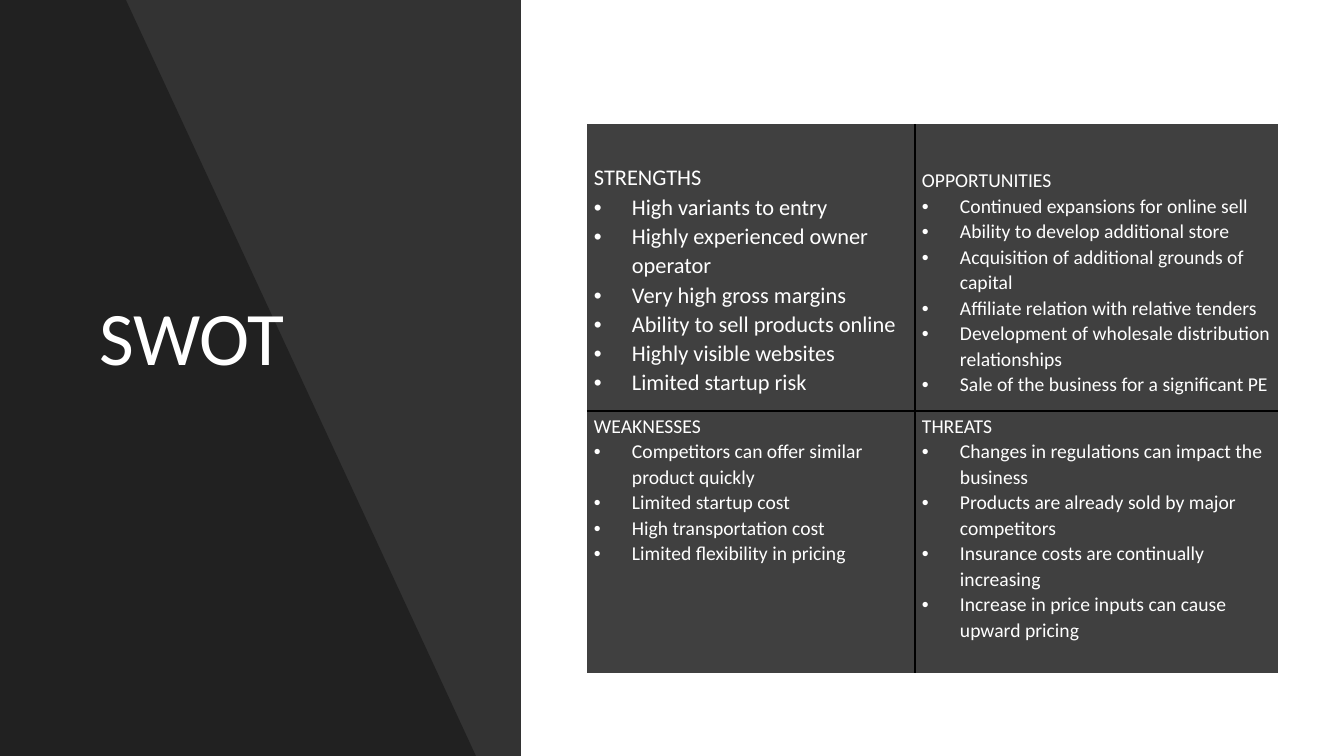
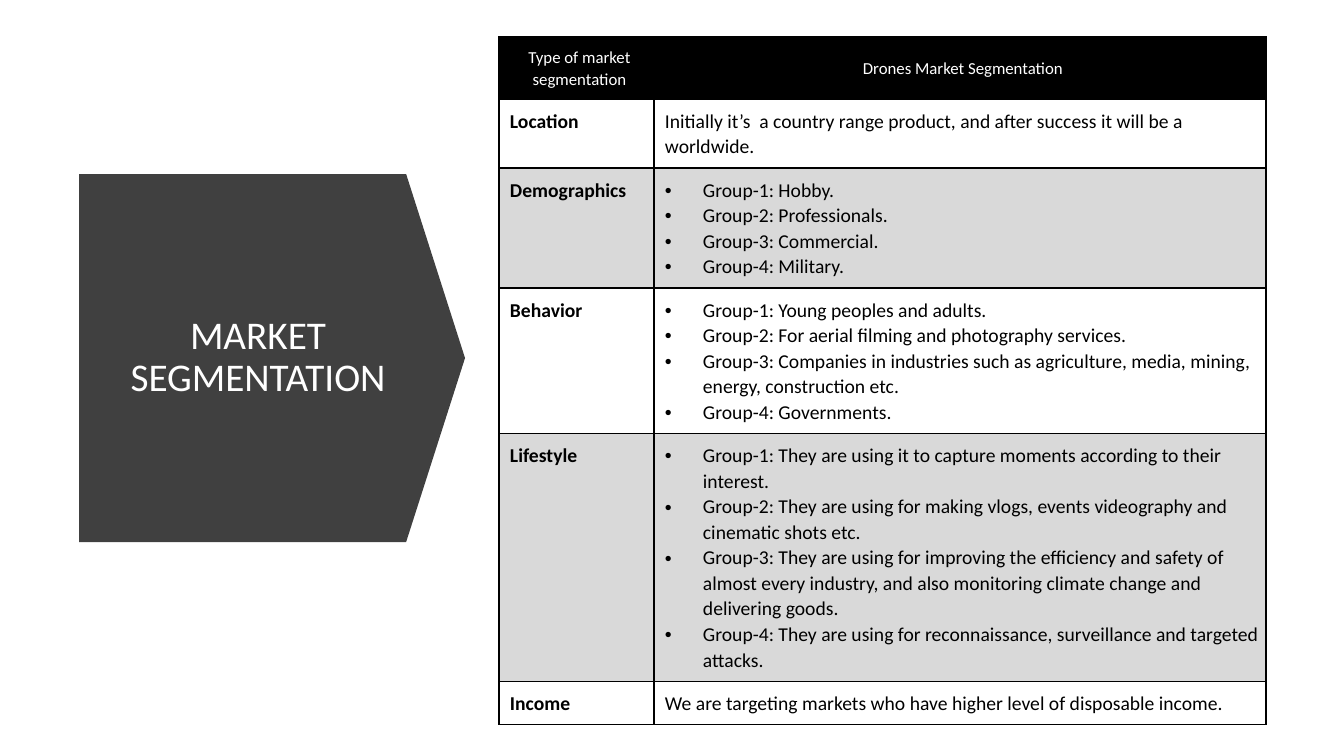
from dataclasses import dataclass, field
from typing import Any

from lxml import etree
from pptx import Presentation
from pptx import util as u
from pptx.dml.color import RGBColor
from pptx.enum import shapes, text
from pptx.oxml import ns

# Shared style: 1344 x 756 px slides
SCALE = 914400 / 100.8
SLIDE_W, SLIDE_H = 1344, 756
FONT = "Calibri"
BLACK, WHITE, DARK, GREY = "000000", "FFFFFF", "404040", "D9D9D9"
LINE_SPACING = 1.07
BULLET_INDENT = 38
TOP, MIDDLE, BOTTOM = (text.MSO_ANCHOR.TOP, text.MSO_ANCHOR.MIDDLE,
                       text.MSO_ANCHOR.BOTTOM)
LEFT, CENTER = text.PP_ALIGN.LEFT, text.PP_ALIGN.CENTER


@dataclass
class Box:
    x: int
    y: int
    w: int
    h: int


@dataclass
class Cell:
    heading: str = ""
    bullets: list[str] = field(default_factory=list)
    size: int = 14
    bold: bool = False
    color: str = WHITE
    fill: str = DARK
    anchor: Any = TOP
    align: Any = LEFT


@dataclass
class Grid:
    x: int
    y: int
    cols: list[int]
    rows: list[int]
    margins: dict[str, int]
    outer_border: bool


def px(n: float) -> u.Emu:
    return u.Emu(round(n * SCALE))


def rgb(value: str) -> RGBColor:
    return RGBColor.from_string(value)


def sub(parent: Any, tag: str, **attrs: str) -> Any:
    return etree.SubElement(parent, ns.qn(tag), attrs)


def set_all(target: Any, values: dict[str, Any]) -> None:
    for name, value in values.items():
        setattr(target, name, value)


def paint(sp: Any, color: str, opacity: int = 100) -> None:
    """Solid fill without line or shadow; opacity in percent."""
    sp.fill.solid()
    sp.fill.fore_color.rgb = rgb(color)
    sp.line.fill.background()
    sp.shadow.inherit = False
    if opacity < 100:
        clr = sp.element.spPr.find(".//" + ns.qn("a:srgbClr"))
        sub(clr, "a:alpha", val=str(opacity * 1000))


def add_run(p: Any, words: str, size: int, color: str, bold: bool = False) -> None:
    r = p.add_run()
    r.text = words
    set_all(r.font, {"name": FONT, "size": u.Pt(size), "bold": bold})
    r.font.color.rgb = rgb(color)


def set_title(s: Any, words: str, box: Box, size: int, anchor: Any, align: Any) -> None:
    sp = s.shapes.title
    set_all(sp, {"left": px(box.x), "top": px(box.y),
                 "width": px(box.w), "height": px(box.h)})
    tf = sp.text_frame
    set_all(tf, {"word_wrap": True, "auto_size": text.MSO_AUTO_SIZE.NONE,
                 "vertical_anchor": anchor})
    p = tf.paragraphs[0]
    set_all(p, {"alignment": align, "line_spacing": 0.9})
    add_run(p, words, size, WHITE)
    # Bring the title in front of the backdrop
    sp.element.getparent().append(sp.element)


def add_bullet(p: Any) -> None:
    pPr = p._p.get_or_add_pPr()
    indent = px(BULLET_INDENT)
    pPr.set("marL", str(indent))
    pPr.set("indent", str(-indent))
    sub(pPr, "a:buFont", typeface="Arial")
    sub(pPr, "a:buChar", char="•")


def set_borders(cell: Any, drawn: dict[str, bool]) -> None:
    tcPr = cell._tc.get_or_add_tcPr()
    for side, visible in drawn.items():
        ln = sub(tcPr, f"a:ln{side}", w=str(u.Pt(1)))
        if visible:
            sub(sub(ln, "a:solidFill"), "a:srgbClr", val=BLACK)
        else:
            sub(ln, "a:noFill")


def fill_cell(cell: Any, content: Cell, margins: dict[str, int]) -> None:
    cell.fill.solid()
    cell.fill.fore_color.rgb = rgb(content.fill)
    cell.vertical_anchor = content.anchor
    set_all(cell, {f"margin_{side}": px(n) for side, n in margins.items()})
    lines = [(content.heading, False)] if content.heading else []
    lines += [(words, True) for words in content.bullets]
    tf = cell.text_frame
    for i, (words, bulleted) in enumerate(lines):
        p = tf.add_paragraph() if i else tf.paragraphs[0]
        set_all(p, {"alignment": content.align, "line_spacing": LINE_SPACING})
        if bulleted:
            add_bullet(p)
        add_run(p, words, content.size, content.color, content.bold)


def add_grid(s: Any, grid: Grid, contents: list[list[Cell]]) -> None:
    n_rows, n_cols = len(grid.rows), len(grid.cols)
    table = s.shapes.add_table(n_rows, n_cols, px(grid.x), px(grid.y),
                               px(sum(grid.cols)), px(sum(grid.rows))).table
    set_all(table, {"first_row": False, "horz_banding": False})
    for col, width in zip(table.columns, grid.cols):
        col.width = px(width)
    for row, height in zip(table.rows, grid.rows):
        row.height = px(height)
    outer = grid.outer_border
    for i, row in enumerate(contents):
        for j, content in enumerate(row):
            cell = table.cell(i, j)
            set_borders(cell, {"L": outer or j > 0, "R": outer or j < n_cols - 1,
                               "T": outer or i > 0, "B": outer or i < n_rows - 1})
            fill_cell(cell, content, grid.margins)


# SWOT content
SWOT_GRID = Grid(587, 124, [328, 363], [287, 262],
                 {"left": 7, "top": 2, "right": 7, "bottom": 14}, False)
SWOT = [
    [Cell("STRENGTHS", [
        "High variants to entry",
        "Highly experienced owner operator",
        "Very high gross margins",
        "Ability to sell products online",
        "Highly visible websites",
        "Limited startup risk"], size=16, anchor=BOTTOM),
     Cell("OPPORTUNITIES", [
         "Continued expansions for online sell",
         "Ability to develop additional store",
         "Acquisition of additional grounds of capital",
         "Affiliate relation with relative tenders",
         "Development of wholesale distribution relationships",
         "Sale of the business for a significant PE"], anchor=BOTTOM)],
    [Cell("WEAKNESSES", [
        "Competitors can offer similar product quickly",
        "Limited startup cost",
        "High transportation cost",
        "Limited flexibility in pricing"]),
     Cell("THREATS", [
         "Changes in regulations can impact the business",
         "Products are already sold by major competitors",
         "Insurance costs are continually increasing",
         "Increase in price inputs can cause upward pricing"])],
]

# Market segmentation content: a plain string is a sentence, a list is bullets
SEGMENT_GRID = Grid(499, 37, [155, 612], [62, 68, 119, 145, 247, 43],
                    {"left": 11, "top": 9, "right": 5, "bottom": 9}, True)
SEGMENT_HEADS = ["Type of market segmentation", "Drones Market Segmentation"]
SEGMENTS: list[tuple[str, Any]] = [
    ("Location", "Initially it’s  a country range product, and after success "
                 "it will be a worldwide."),
    ("Demographics", [
        "Group-1: Hobby.",
        "Group-2: Professionals.",
        "Group-3: Commercial.",
        "Group-4: Military."]),
    ("Behavior", [
        "Group-1: Young peoples and adults.",
        "Group-2: For aerial filming and photography services.",
        "Group-3: Companies in industries such as agriculture, media, mining, "
        "energy, construction etc.",
        "Group-4: Governments."]),
    ("Lifestyle", [
        "Group-1: They are using it to capture moments according to their interest.",
        "Group-2: They are using for making vlogs, events videography and "
        "cinematic shots etc.",
        "Group-3: They are using for improving the efficiency and safety of almost "
        "every industry, and also monitoring climate change and delivering goods.",
        "Group-4: They are using for reconnaissance, surveillance and targeted "
        "attacks."]),
    ("Income", "We are targeting markets who have higher level of disposable income."),
]


def segment_rows() -> list[list[Cell]]:
    rows = [[Cell(head, size=12, fill=BLACK, anchor=MIDDLE, align=CENTER)
             for head in SEGMENT_HEADS]]
    for i, (name, detail) in enumerate(SEGMENTS):
        fill = GREY if i % 2 else WHITE
        body = {"bullets": detail} if isinstance(detail, list) else {"heading": detail}
        rows.append([Cell(name, bold=True, color=BLACK, fill=fill),
                     Cell(**body, color=BLACK, fill=fill)])
    return rows


def build_swot(s: Any) -> None:
    # Dark panel with a slanted darker area
    panel = s.shapes.add_shape(shapes.MSO_SHAPE.RECTANGLE, 0, 0, px(521), px(SLIDE_H))
    paint(panel, BLACK, 80)
    outline = s.shapes.build_freeform(0, 0, SCALE)
    outline.add_line_segments([(126, 0), (476, SLIDE_H), (0, SLIDE_H)])
    paint(outline.convert_to_shape(), BLACK, 35)
    set_title(s, "SWOT", Box(89, 124, 365, 263), 54, BOTTOM, LEFT)
    add_grid(s, SWOT_GRID, SWOT)


def build_segmentation(s: Any) -> None:
    # Wide arrow pointing at the table
    arrow = s.shapes.add_shape(shapes.MSO_SHAPE.DOWN_ARROW,
                               px(88), px(165), px(368), px(386))
    arrow.rotation = 270
    arrow.adjustments[0], arrow.adjustments[1] = 1, 0.16
    paint(arrow, DARK)
    set_title(s, "MARKET SEGMENTATION", Box(113, 217, 290, 281), 28, MIDDLE, CENTER)
    add_grid(s, SEGMENT_GRID, segment_rows())


def main() -> None:
    prs = Presentation()
    set_all(prs, {"slide_width": px(SLIDE_W), "slide_height": px(SLIDE_H)})
    title_only = prs.slide_layouts[5]
    for build in (build_swot, build_segmentation):
        build(prs.slides.add_slide(title_only))
    prs.save("out.pptx")


if __name__ == "__main__":
    main()
